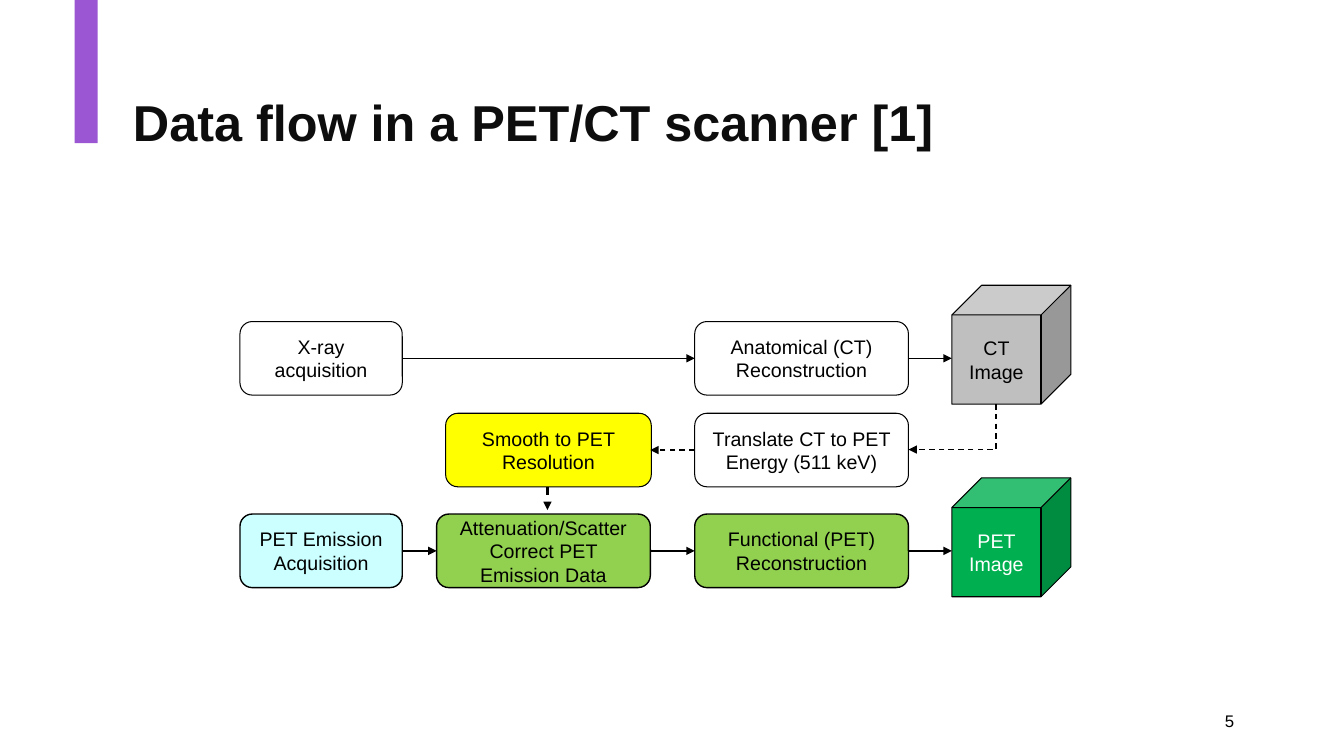
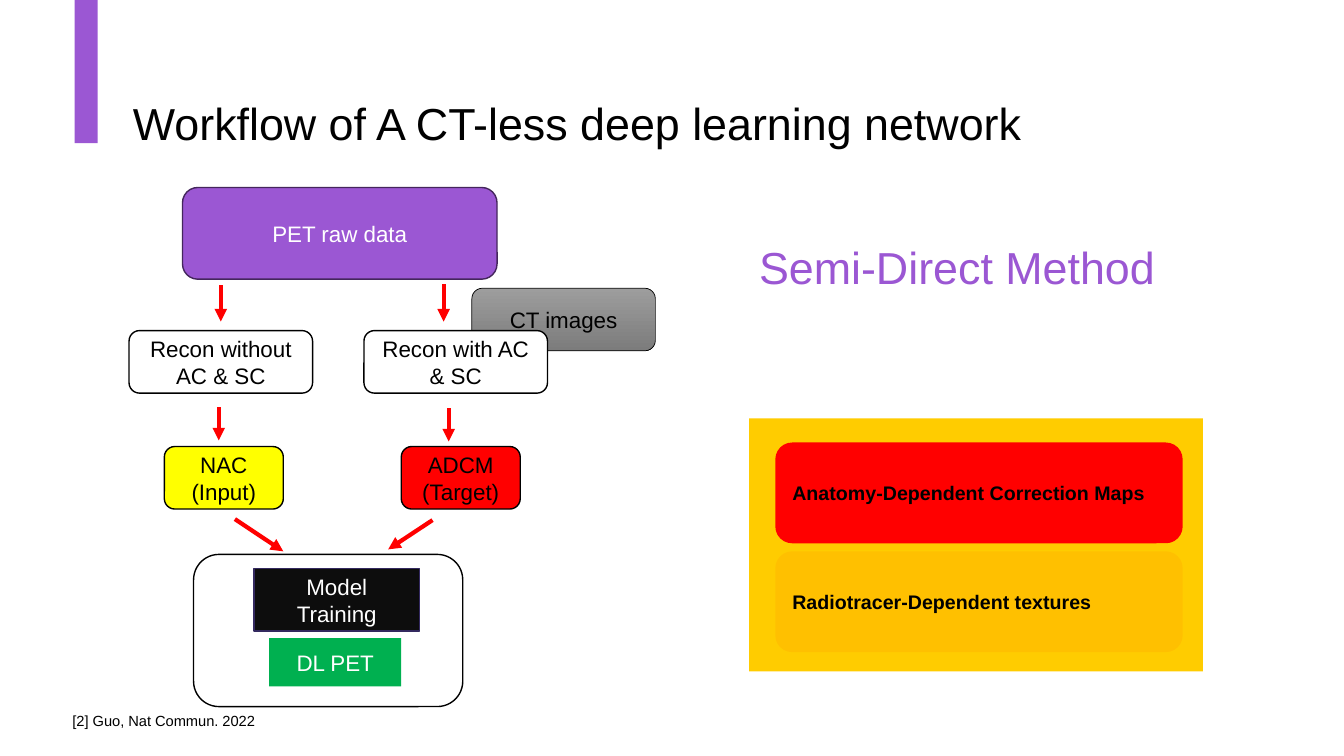
import pptx
import pptx.util
import pptx.dml.color
import pptx.enum.dml
import pptx.enum.shapes
import pptx.enum.text
import pptx.oxml.ns
import lxml.etree

Inches, Pt = pptx.util.Inches, pptx.util.Pt
RGB = pptx.dml.color.RGBColor.from_string
SHAPE = pptx.enum.shapes.MSO_SHAPE
CONNECTOR = pptx.enum.shapes.MSO_CONNECTOR
ALIGN = pptx.enum.text.PP_ALIGN
qn = pptx.oxml.ns.qn

C = {
    "black": "000000", "ink": "0D0D0D", "white": "FFFFFF", "purple": "9B57D3",
    "plum": "44265C", "navy": "33295F", "red": "FF0000", "yellow": "FFFF00",
    "cyan": "CCFFFF", "lime": "92D050", "green": "00B050", "silver": "BFBFBF",
    "light grey": "9D9D9D", "dark grey": "7C7C7C", "gold": "FFCC00", "amber": "FFC000",
}


def add_box(s, at, text="", size=14, color="black", bold=False, align=ALIGN.CENTER,
            shape=None, fill=None, line=None, width=1, spacing=None):
    """Add a shape, or a text box when no shape is given, with centred-height text."""
    at = [Inches(v) for v in at]
    if shape is None:
        sp = s.shapes.add_textbox(*at)
    else:
        sp = s.shapes.add_shape(shape, *at)
        sp.shadow.inherit = False
        if fill:
            sp.fill.solid()
            sp.fill.fore_color.rgb = RGB(C[fill])
        if line:
            sp.line.color.rgb = RGB(C[line])
            sp.line.width = Pt(width)
        else:
            sp.line.fill.background()
    if text:
        tf = sp.text_frame
        tf.word_wrap = True
        tf.vertical_anchor = pptx.enum.text.MSO_ANCHOR.MIDDLE
        p = tf.paragraphs[0]
        p.text = text
        p.alignment = align
        if spacing:
            p.line_spacing = spacing
        p.font.name = "Arial"
        p.font.size = Pt(size)
        p.font.bold = bold
        p.font.color.rgb = RGB(C[color])
    return sp


def add_arrow(s, start, end, color="black", width=1, dashed=False, kind=CONNECTOR.STRAIGHT):
    cx = s.shapes.add_connector(kind, *[Inches(v) for v in (*start, *end)])
    cx.line.color.rgb = RGB(C[color])
    cx.line.width = Pt(width)
    if dashed:
        cx.line.dash_style = pptx.enum.dml.MSO_LINE.DASH
    ln = cx.line._get_or_add_ln()
    lxml.etree.SubElement(ln, qn("a:tailEnd"), type="triangle")
    lxml.etree.SubElement(cx._element.spPr, qn("a:effectLst"))
    return cx


prs = pptx.Presentation()
prs.slide_width, prs.slide_height = Inches(13.33), Inches(7.5)

# Shared accent bar and title
slides = []
for title, size, color, bold in [
    ("Data flow in a PET/CT scanner [1]", 36, "ink", True),
    ("Workflow of A CT-less deep learning network", 32, "black", False),
]:
    s = prs.slides.add_slide(prs.slide_layouts[6])
    add_box(s, (0.74, 0, 0.23, 1.42), shape=SHAPE.RECTANGLE, fill="purple")
    add_box(s, (1.22, 0.6, 11.53, 1.29), title, size, color, bold, ALIGN.LEFT, spacing=0.9)
    slides.append(s)
flow, network = slides

# Slide 1: scanner data flow
add_box(flow, (9.34, 6.95, 3, 0.4), "5", 12, align=ALIGN.RIGHT)

CT_ROW, LINK_ROW, PET_ROW = 3.19, 4.1, 5.1
STEP_H, CUBE = 0.73, 1.18
for x, y, w, text, fill, width in [
    (2.38, CT_ROW, 1.61, "X-ray acquisition", "white", 0.75),
    (6.89, CT_ROW, 2.12, "Anatomical (CT) Reconstruction", "white", 0.75),
    (6.89, LINK_ROW, 2.12, "Translate CT to PET Energy (511 keV)", "white", 0.75),
    (4.42, LINK_ROW, 2.04, "Smooth to PET Resolution", "yellow", 0.75),
    (2.38, PET_ROW, 1.61, "PET Emission Acquisition", "cyan", 1),
    (4.33, PET_ROW, 2.12, "Attenuation/Scatter Correct PET Emission Data", "lime", 1),
    (6.89, PET_ROW, 2.12, "Functional (PET) Reconstruction", "lime", 1),
]:
    add_box(flow, (x, y, w, STEP_H), text, shape=SHAPE.ROUNDED_RECTANGLE,
            fill=fill, line="black", width=width)

for row, text, fill, color in [(CT_ROW, "CT Image", "silver", "black"),
                               (PET_ROW, "PET Image", "green", "white")]:
    add_box(flow, (9.44, row - 0.36, CUBE, CUBE), text, color=color,
            shape=SHAPE.CUBE, fill=fill, line="black", width=0.75)

for row, x1, x2, dashed in [
    (CT_ROW, 3.99, 6.89, False), (CT_ROW, 9.01, 9.44, False),
    (LINK_ROW, 6.89, 6.45, True),
    (PET_ROW, 3.99, 4.33, False), (PET_ROW, 6.45, 6.89, False), (PET_ROW, 9.01, 9.44, False),
]:
    y = row + STEP_H / 2
    add_arrow(flow, (x1, y), (x2, y), dashed=dashed)
add_arrow(flow, (5.43, 4.83), (5.43, 5.06), width=1.5, dashed=True)

# One-bend arrow, turned a quarter to run down and then left
bend = add_arrow(flow, (9.22, 3.8), (9.67, 4.67), dashed=True, kind=CONNECTOR.ELBOW)
bend._element.spPr.find(qn("a:prstGeom")).set("prst", "bentConnector2")
bend._element.spPr.find(qn("a:xfrm")).set("rot", str(90 * 60000))

# Slide 2: training workflow
ROUND, RECT = SHAPE.ROUNDED_RECTANGLE, SHAPE.RECTANGLE
add_box(network, (1.81, 1.86, 3.12, 0.91), "PET raw data", 16, "white",
        shape=ROUND, fill="purple", line="plum")
ct = add_box(network, (4.68, 2.86, 1.82, 0.62), "CT images", 16,
             shape=ROUND, line="black", width=0.5)
ct.fill.gradient()
ct.fill.gradient_angle = 270
for stop, grey in zip(ct.fill.gradient_stops, ("light grey", "dark grey")):
    stop.color.rgb = RGB(C[grey])

for at, text, shape, fill, line, color in [
    ((1.28, 3.28, 1.82, 0.62), "Recon without AC & SC", ROUND, "white", "black", "black"),
    ((3.61, 3.28, 1.82, 0.62), "Recon with AC & SC", ROUND, "white", "black", "black"),
    ((1.63, 4.43, 1.18, 0.62), "NAC (Input)", ROUND, "yellow", "black", "black"),
    ((3.98, 4.43, 1.18, 0.62), "ADCM (Target)", ROUND, "red", "black", "black"),
    ((1.92, 5.5, 2.67, 1.51), "", ROUND, "white", "black", "black"),
    ((2.52, 5.64, 1.64, 0.62), "Model Training", RECT, "ink", "navy", "white"),
    ((2.67, 6.33, 1.31, 0.48), "DL PET", RECT, "green", None, "white"),
]:
    add_box(network, at, text, 16, color, shape=shape, fill=fill, line=line)

for start, end in [
    ((2.19, 2.83), (2.19, 3.19)), ((4.4, 2.82), (4.4, 3.19)),
    ((2.17, 4.04), (2.17, 4.37)), ((4.45, 4.05), (4.45, 4.38)),
    ((2.33, 5.15), (2.81, 5.47)), ((4.29, 5.16), (3.85, 5.45)),
]:
    add_arrow(network, start, end, "red", 3)

# Slide 2: method and its two components
add_box(network, (7.43, 2.03, 4.33, 1.29), "Semi-Direct Method", 32, "purple",
        align=ALIGN.LEFT, spacing=0.9)
add_box(network, (7.43, 4.15, 4.5, 2.51), shape=RECT, fill="gold")
for i, (text, fill) in enumerate([("Anatomy-Dependent Correction Maps", "red"),
                                  ("Radiotracer-Dependent textures", "amber")]):
    sp = add_box(network, (7.69, 4.39 + 1.08 * i, 4.04, 1), text, bold=True,
                 align=ALIGN.LEFT, shape=ROUND, fill=fill)
    sp.text_frame.margin_left = Inches(0.12)

add_box(network, (0.62, 7.01, 2.19, 0.28), "[2] Guo, Nat Commun. 2022", 10.5, align=ALIGN.LEFT)

prs.save("out.pptx")
